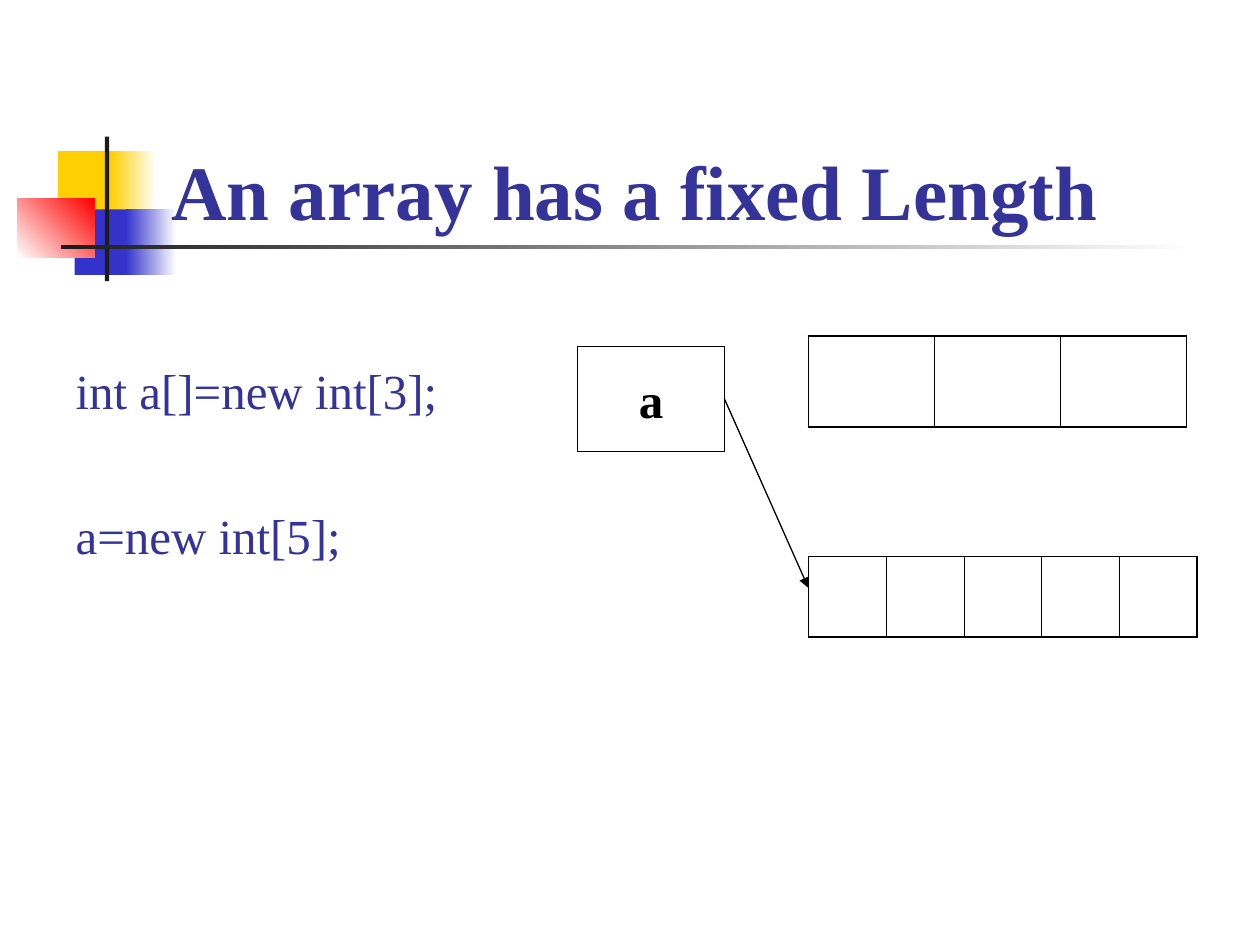
from lxml.etree import SubElement
from pptx import Presentation
from pptx.dml.color import RGBColor
from pptx.enum.shapes import MSO_CONNECTOR, MSO_SHAPE
from pptx.enum.text import MSO_ANCHOR, MSO_AUTO_SIZE, PP_ALIGN
from pptx.oxml.ns import qn
from pptx.util import Pt

INK, NAVY, WHITE, BLACK = "1C1C1C", "333399", "FFFFFF", "000000"
YELLOW, BLUE, RED = "FFCF01", "3333CC", "FF0000"


def color(hex_string):
    return RGBColor.from_string(hex_string)


def add_text(paragraph, text, size, hex_string, bold=False):
    run = paragraph.add_run()
    run.text = text
    run.font.name = "Times New Roman"
    run.font.size = Pt(size)
    run.font.bold = bold
    run.font.color.rgb = color(hex_string)


prs = Presentation()
prs.slide_width, prs.slide_height = Pt(720), Pt(540)
slide = prs.slides.add_slide(prs.slide_layouts[1])
shapes = slide.shapes

# Title and code lines
title, code = slide.placeholders
title.left, title.top, title.width, title.height = Pt(90.7), Pt(48.2), Pt(613.5), Pt(90)
title.text_frame.auto_size = MSO_AUTO_SIZE.NONE
title.text_frame.vertical_anchor = MSO_ANCHOR.BOTTOM
heading = title.text_frame.paragraphs[0]
heading.alignment = PP_ALIGN.LEFT
add_text(heading, "An array has a fixed Length", 44, NAVY, bold=True)

code.left, code.top, code.width, code.height = Pt(36), Pt(159), Pt(258), Pt(324)
code.text_frame.auto_size = MSO_AUTO_SIZE.NONE
code.text_frame.margin_top = Pt(47)
for i, statement in enumerate(["int a[]=new int[3];", "a=new int[5];"]):
    line = code.text_frame.add_paragraph() if i else code.text_frame.paragraphs[0]
    line.space_before = Pt(49 * i)
    add_text(line, statement, 28, NAVY)
    properties = line._p.get_or_add_pPr()
    properties.set("marL", "0")
    properties.set("indent", "0")
    SubElement(properties, qn("a:buNone"))

# Corner ornament: left, top, width, height, colours, gradient angle
ornament = [
    (33.1, 86.4, 34.5, 37.4, [YELLOW], 0),
    (63.2, 86.4, 25.9, 37.4, [YELLOW, WHITE], 0),
    (42.6, 119.7, 33.1, 37.4, [BLUE], 0),
    (72, 119.7, 28.8, 37.4, [BLUE, WHITE], 0),
    (9.8, 113.7, 44.2, 33.4, [WHITE, RED], 45),
    (59.9, 78, 2.5, 82.7, [INK], 0),
    (34.8, 140, 648, 2.5, [INK, WHITE], 0),
]
for left, top, width, height, colors, angle in ornament:
    block = shapes.add_shape(MSO_SHAPE.RECTANGLE, Pt(left), Pt(top), Pt(width), Pt(height))
    block.shadow.inherit = False
    block.line.fill.background()
    if len(colors) == 1:
        block.fill.solid()
        block.fill.fore_color.rgb = color(colors[0])
    else:
        block.fill.gradient()
        block.fill.gradient_angle = angle
        for stop, stop_color in zip(block.fill.gradient_stops, colors):
            stop.color.rgb = color(stop_color)
    # The ornament lies behind the text
    shapes._spTree.remove(block._element)
    shapes._spTree.insert_element_before(block._element, "p:extLst")
for placeholder in (title, code):
    shapes._spTree.append(placeholder._element)

# Arrays: top, height, number of cells, cell width
for top, height, count, cell_width in [(192, 52, 3, 72), (318, 46, 5, 44.4)]:
    array = shapes.add_table(
        1, count, Pt(462), Pt(top), Pt(count * cell_width), Pt(height)
    ).table
    array.first_row = array.horz_banding = False
    array.rows[0].height = Pt(height)
    for i, column in enumerate(array.columns):
        column.width = Pt(cell_width)
        cell = array.cell(0, i)
        borders = {
            "a:lnL": 0.45 if i else 1.08,
            "a:lnR": 0.45 if i < count - 1 else 1.08,
            "a:lnT": 1.08,
            "a:lnB": 1.08,
        }
        cell_properties = cell._tc.get_or_add_tcPr()
        for side, weight in borders.items():
            border = SubElement(cell_properties, qn(side), w=str(int(Pt(weight))))
            paint = SubElement(border, qn("a:solidFill"))
            SubElement(paint, qn("a:srgbClr"), val=BLACK)
        cell.fill.background()

# Variable a
variable = shapes.add_shape(MSO_SHAPE.RECTANGLE, Pt(330), Pt(198), Pt(84), Pt(60))
variable.shadow.inherit = False
variable.fill.solid()
variable.fill.fore_color.rgb = color(WHITE)
variable.line.color.rgb = color(BLACK)
variable.line.width = Pt(0.75)
variable.text_frame.word_wrap = False
variable.text_frame.vertical_anchor = MSO_ANCHOR.MIDDLE
label = variable.text_frame.paragraphs[0]
label.alignment = PP_ALIGN.CENTER
add_text(label, "a", 28, BLACK, bold=True)

# Reference from a to the new array
reference = shapes.add_connector(MSO_CONNECTOR.STRAIGHT, Pt(414), Pt(228), Pt(462), Pt(336))
reference.begin_connect(variable, 3)
reference.line.color.rgb = color(BLACK)
reference.line.width = Pt(0.75)
SubElement(reference.line._get_or_add_ln(), qn("a:tailEnd"), type="triangle")
SubElement(reference._element.spPr, qn("a:effectLst"))

prs.save("out.pptx")
